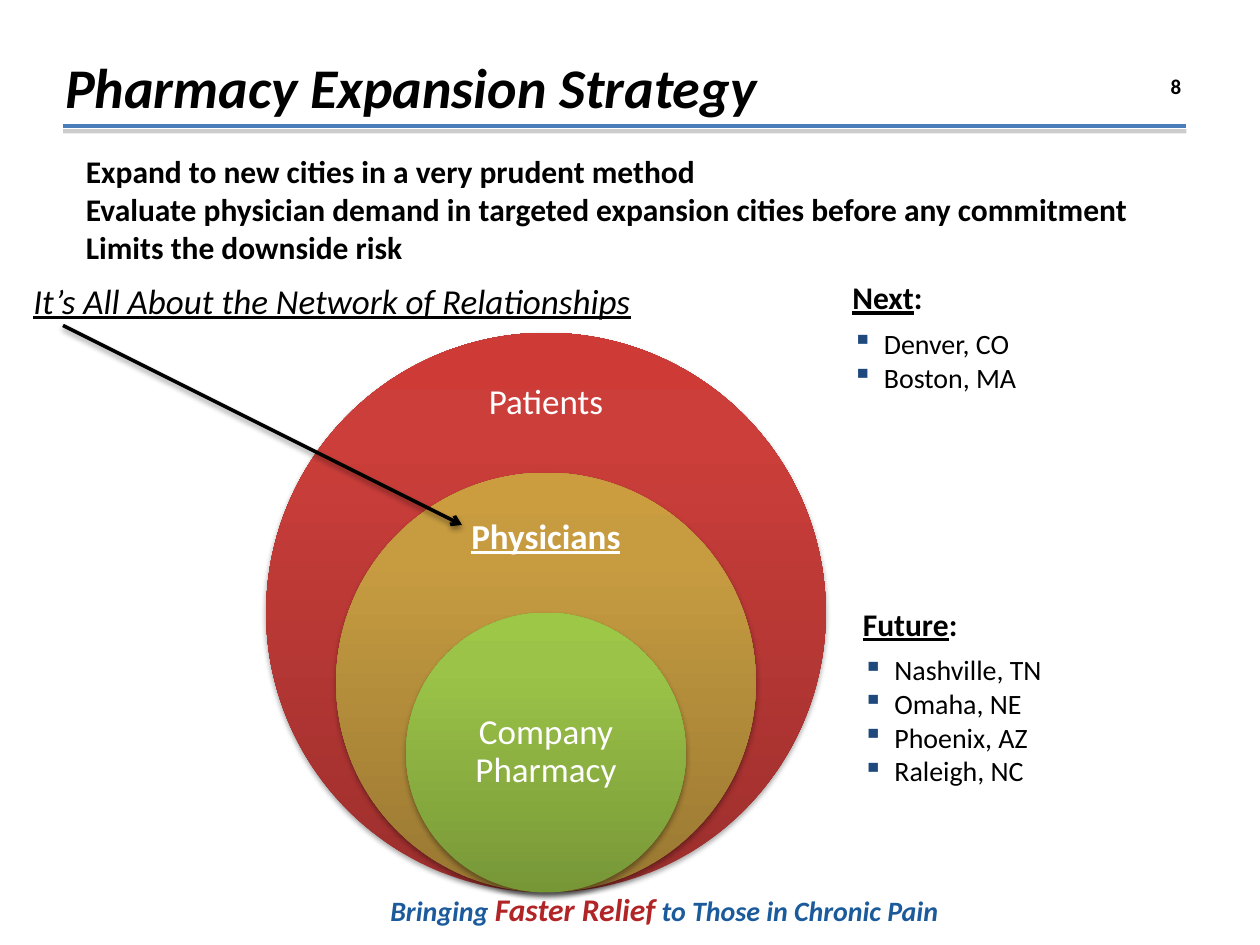
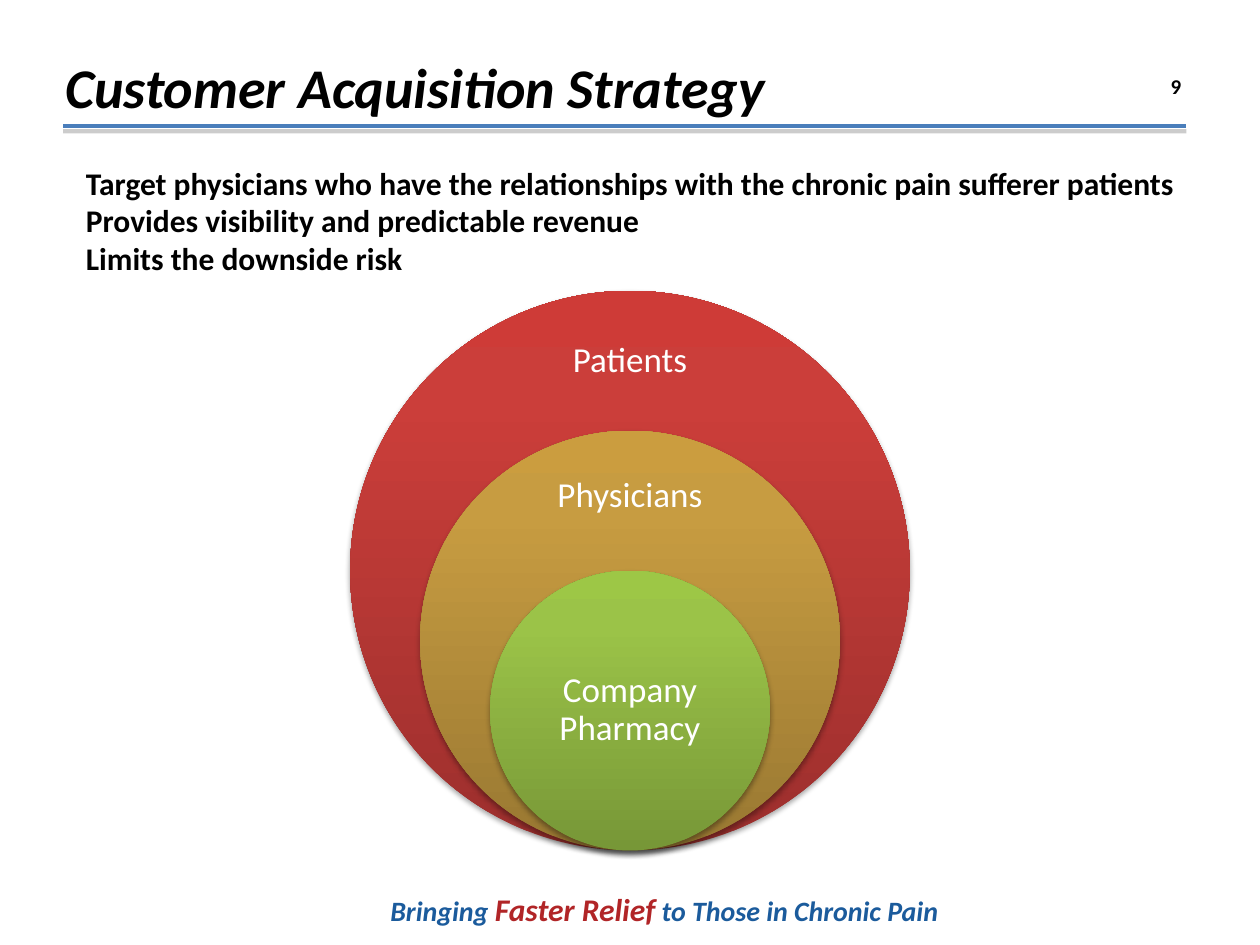
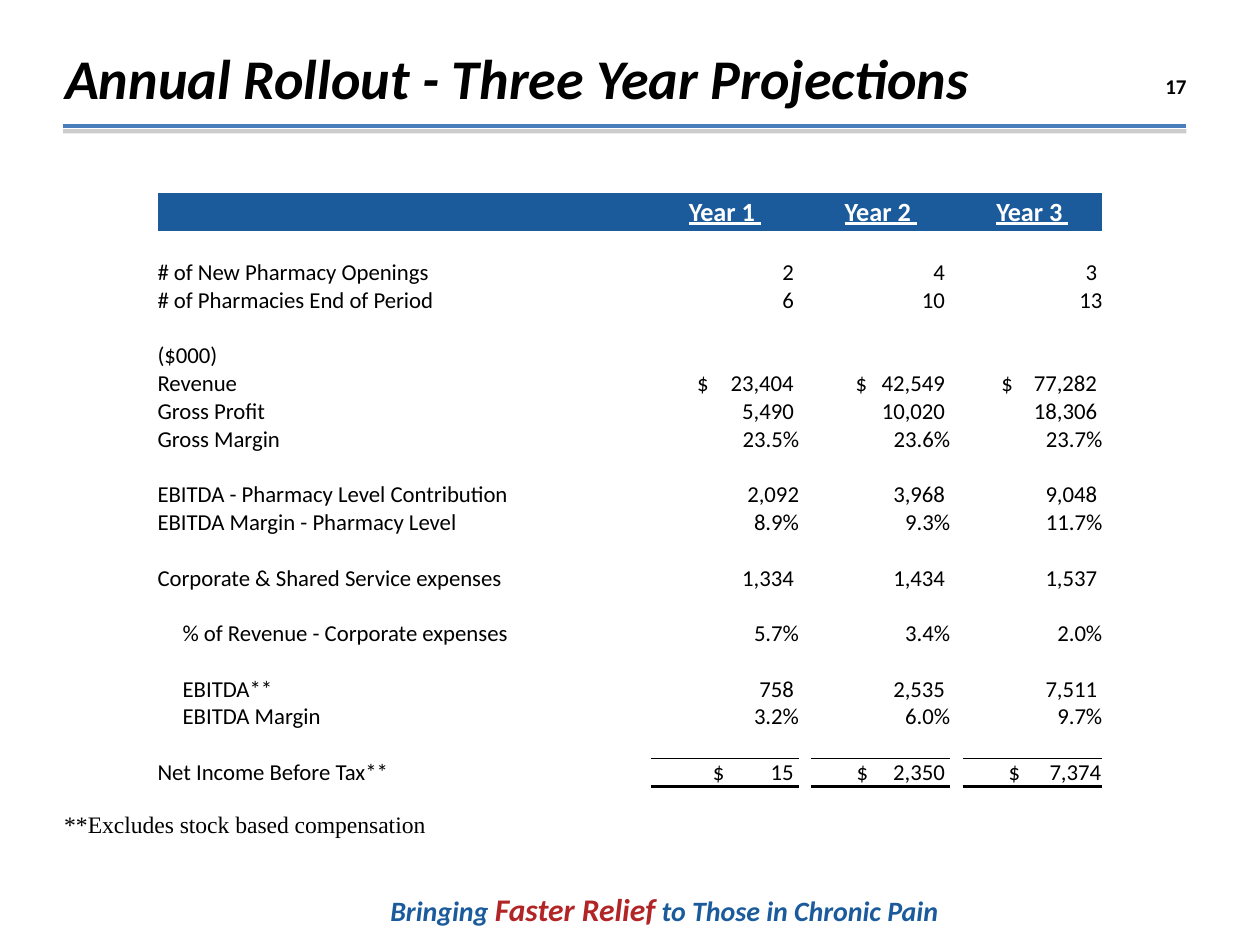
from dataclasses import dataclass

from lxml.etree import SubElement
from pptx import Presentation
from pptx.dml.color import RGBColor
from pptx.enum.shapes import MSO_CONNECTOR, MSO_SHAPE
from pptx.enum.text import MSO_ANCHOR, MSO_AUTO_SIZE, PP_ALIGN
from pptx.oxml.ns import qn
from pptx.util import Inches, Pt


@dataclass(frozen=True)
class Theme:
    font: str = "Calibri"
    note_font: str = "Times New Roman"
    ink: str = "000000"
    white: str = "FFFFFF"
    navy: str = "1B5B9C"
    crimson: str = "B12527"
    rule: str = "4A7EBB"
    rule_shadow: str = "808080"
    bullet: str = "1F497D"
    red: tuple = ("9C2F2D", "CB3E3A", "CE3B37")
    gold: tuple = ("997832", "C79C41", "CB9D3F")
    green: tuple = ("779737", "9BC348", "9DC746")
    title: float = 32
    label: float = 20
    body: float = 18
    item: float = 16
    head: float = 15
    note: float = 13.5
    cell: float = 13
    number: float = 12


PLAIN_STYLE = "{2D5ABB26-0587-4C30-8999-92F81FD0307C}"
COLUMNS = (2.4, 3.8, 39.7, 1.1, 14.1, 1.2, 13.2, 1.2, 13.3)
YEAR_COLUMNS = (4, 6, 8)
HEAD_ROW, BODY_ROW = 3.6, 2.65
YEARS = ("Year 1 ", "Year 2 ", "Year 3 ")
NET_INCOME = "Net Income Before Tax**"
DOLLAR_STOPS = {"Revenue": (4.4, 4.2, 3.7), NET_INCOME: (5.9, 4.3, 4.4)}
BLANK = ("", 0, "", "", "")
PROJECTIONS = (
    BLANK,
    ("# of New Pharmacy Openings", 0, "2 ", "4 ", "3 "),
    ("# of Pharmacies End of Period", 0, "6 ", "10 ", "13"),
    BLANK,
    ("($000)", 0, "", "", ""),
    ("Revenue", 0, "23,404 ", "42,549 ", "77,282 "),
    ("Gross Profit", 0, "5,490 ", "10,020 ", "18,306 "),
    ("Gross Margin", 0, "23.5%", "23.6%", "23.7%"),
    BLANK,
    ("EBITDA - Pharmacy Level Contribution", 0, "2,092", "3,968 ", "9,048 "),
    ("EBITDA Margin - Pharmacy Level", 0, "8.9%", "9.3%", "11.7%"),
    BLANK,
    ("Corporate & Shared Service expenses", 0, "1,334 ", "1,434 ", "1,537 "),
    BLANK,
    ("% of Revenue - Corporate expenses", 1, "5.7%", "3.4%", "2.0%"),
    BLANK,
    ("EBITDA**", 1, "758 ", "2,535 ", "7,511 "),
    ("EBITDA Margin", 1, "3.2%", "6.0%", "9.7%"),
    BLANK,
    (NET_INCOME, 0, "15 ", "2,350 ", "7,374"),
)


def grid(value):
    """Turn grid units, 120 columns by 90 rows on the slide, into a length."""
    return Inches(value / 12)


class Deck:
    """Hold the theme and the current slide, and draw each kind of element."""

    def __init__(self, prs, theme):
        self.prs, self.theme, self.s = prs, theme, None

    def slide(self, title, number, top=4.4, height=7.6, anchor=MSO_ANCHOR.TOP):
        """Add a slide with its title, rule, number and tagline."""
        t = self.theme
        self.s = self.prs.slides.add_slide(self.prs.slide_layouts[5])
        rule = self.line((6, 12), (113, 12), t.rule, 2.5)
        self.shadow(rule, t.rule_shadow, 40, 0, 3)
        self.text((104, 4, 16, 6), [[(number, {"bold": True})]], t.number,
                  align=PP_ALIGN.CENTER, anchor=MSO_ANCHOR.BOTTOM)
        slogan = {"bold": True, "italic": True, "color": t.navy}
        self.text((36, 84.2, 55, 4.8), [[
            ("Bringing ", slogan),
            ("Faster Relief", {**slogan, "color": t.crimson, "size": t.body}),
            (" to Those in Chronic Pain", slogan)]], t.item, wrap=False)
        sp = self.s.shapes.title
        sp.left, sp.top, sp.width, sp.height = map(grid, (5, top, 109, height))
        tf = sp.text_frame
        tf.text = title
        tf.auto_size, tf.vertical_anchor = MSO_AUTO_SIZE.NONE, anchor
        tf.paragraphs[0].alignment = PP_ALIGN.LEFT
        self.style(tf.paragraphs[0].runs[0], t.title, bold=True, italic=True)

    def style(self, r, size, color=None, font=None, **flags):
        """Format one run."""
        r.font.name, r.font.size = font or self.theme.font, Pt(size)
        r.font.color.rgb = RGBColor.from_string(color or self.theme.ink)
        for name, value in flags.items():
            setattr(r.font, name, value)

    def text(self, box, paragraphs, size, align=PP_ALIGN.LEFT,
             anchor=MSO_ANCHOR.TOP, wrap=True, inset=None, spacing=None):
        """Add a text box whose paragraphs are lists of text and style pairs."""
        tf = self.s.shapes.add_textbox(*map(grid, box)).text_frame
        tf.word_wrap, tf.vertical_anchor = wrap, anchor
        if inset:
            tf.margin_left = tf.margin_right = grid(inset)
            tf.margin_top = tf.margin_bottom = grid(inset)
        for i, runs in enumerate(paragraphs):
            p = tf.add_paragraph() if i else tf.paragraphs[0]
            p.alignment = align
            if spacing:
                p.line_spacing = spacing
            for words, look in runs:
                r = p.add_run()
                r.text = words
                self.style(r, **{"size": size, **look})
        return tf

    def points(self, left, top, width, lines):
        """Add the bold opening statements."""
        self.text((left, top, width, 12), [[(line, {"bold": True})] for line in lines],
                  self.theme.body)

    def cities(self, left, top, heading, names):
        """Add an underlined heading over a bulleted list of cities."""
        t = self.theme
        head = [(heading, {"bold": True, "underline": True, "size": t.body}),
                (":", {"bold": True, "size": t.body})]
        tf = self.text((left, top, 38, 5 + 3.2 * len(names)),
                       [head] + [[(name, {})] for name in names], t.item)
        for p in tf.paragraphs[1:]:
            pPr = p._p.get_or_add_pPr()
            pPr.set("marL", str(grid(3)))
            pPr.set("indent", str(-grid(3)))
            SubElement(SubElement(pPr, qn("a:buClr")), qn("a:srgbClr"), val=t.bullet)
            SubElement(pPr, qn("a:buChar"), char="▪")
        tf.paragraphs[1].space_before = Pt(6)

    def line(self, start, end, color, width):
        """Add a straight line between two grid points."""
        c = self.s.shapes.add_connector(MSO_CONNECTOR.STRAIGHT, *map(grid, start + end))
        c.line.color.rgb, c.line.width = RGBColor.from_string(color), Pt(width)
        return c

    def arrow(self, start, end):
        """Add a shadowed arrow."""
        c = self.line(start, end, self.theme.ink, 2)
        SubElement(c.line._get_or_add_ln(), qn("a:tailEnd"), type="arrow")
        self.shadow(c, self.theme.ink, 38, 3.1, 1.6)

    def shadow(self, sp, color, opacity, blur, distance):
        """Give a shape or line a shadow that falls straight down."""
        effects = SubElement(sp._element.spPr, qn("a:effectLst"))
        outer = SubElement(effects, qn("a:outerShdw"), blurRad=str(Pt(blur)),
                           dist=str(Pt(distance)), dir="5400000", rotWithShape="0")
        clr = SubElement(outer, qn("a:srgbClr"), val=color)
        SubElement(clr, qn("a:alpha"), val=str(opacity * 1000))

    def circle(self, center, bottom, size, colors):
        """Add a shadowed circle that darkens towards its foot."""
        box = (center - size / 2, bottom - size, size, size)
        sp = self.s.shapes.add_shape(MSO_SHAPE.OVAL, *map(grid, box))
        sp.fill.gradient()
        sp.fill.gradient_angle = 90
        stops = sp._element.spPr.find(".//" + qn("a:gsLst"))
        for stop in list(stops):
            stops.remove(stop)
        for position, color in zip((0, 80, 100), colors):
            stop = SubElement(stops, qn("a:gs"), pos=str(position * 1000))
            SubElement(stop, qn("a:srgbClr"), val=color)
        sp.line.fill.background()
        self.shadow(sp, self.theme.ink, 35, 3.1, 1.8)

    def network(self, center, bottom, **physicians):
        """Add three nested circles that share their lowest point."""
        t = self.theme
        rings = (("Patients", 1, 0.05, 0.15, t.red, {}),
                 ("Physicians", 0.75, 0.06, 0.19, t.gold, physicians),
                 ("Company Pharmacy", 0.5, 0.25, 0.5, t.green, {}))
        for label, share, drop, depth, colors, look in rings:
            size = 53.3 * share
            self.circle(center, bottom, size, colors)
            box = (center - 9.4, bottom - size * (1 - drop), 18.8, size * depth)
            self.text(box, [[(label, {"color": t.white, **look})]], t.label,
                      align=PP_ALIGN.CENTER, anchor=MSO_ANCHOR.MIDDLE, inset=1.9, spacing=0.9)

    def table(self, left, top, widths, heights):
        """Add an unstyled table with bare cells."""
        frame = self.s.shapes.add_table(len(heights), len(widths), *map(
            grid, (left, top, sum(widths), sum(heights))))
        tbl = frame.table
        tbl.first_row = tbl.horz_banding = False
        tbl._tbl.tblPr.find(qn("a:tableStyleId")).text = PLAIN_STYLE
        for column, width in zip(tbl.columns, widths):
            column.width = grid(width)
        for row, height in zip(tbl.rows, heights):
            row.height = grid(height)
        for cell in tbl.iter_cells():
            cell.margin_left = cell.margin_right = cell.margin_top = cell.margin_bottom = 0
            cell.vertical_anchor = MSO_ANCHOR.BOTTOM
            cell.fill.background()
            SubElement(cell.text_frame.paragraphs[0]._p, qn("a:endParaRPr"),
                       sz=str(self.theme.cell * 100))
        return tbl

    def cell(self, cell, words, size, align=PP_ALIGN.LEFT, stops=(), **look):
        """Write text into a cell, on tab stops where they are given."""
        p = cell.text_frame.paragraphs[0]
        p.text, p.alignment = words, align
        if stops:
            tabs = SubElement(p._p.get_or_add_pPr(), qn("a:tabLst"))
            for position, side in zip(stops, ("l", "r")):
                SubElement(tabs, qn("a:tab"), pos=str(grid(position)), algn=side)
        for r in p.runs:
            self.style(r, size, **look)

    def border(self, cell, **sides):
        """Draw cell borders, given as side and width, top before bottom."""
        tcPr = cell._tc.get_or_add_tcPr()
        for i, (side, width) in enumerate(sides.items()):
            ln = SubElement(tcPr, qn(f"a:ln{side}"), w=str(Pt(width)))
            SubElement(SubElement(ln, qn("a:solidFill")), qn("a:srgbClr"), val=self.theme.ink)
            tcPr.insert(i, ln)

    def projections(self, left, top):
        """Add the table of yearly projections."""
        t = self.theme
        tbl = self.table(left, top, COLUMNS, [HEAD_ROW] + [BODY_ROW] * len(PROJECTIONS))
        for col in range(len(COLUMNS)):
            fill = tbl.cell(0, col).fill
            fill.solid()
            fill.fore_color.rgb = RGBColor.from_string(t.navy)
        for col, year in zip(YEAR_COLUMNS, YEARS):
            tbl.cell(0, col).vertical_anchor = MSO_ANCHOR.MIDDLE
            self.cell(tbl.cell(0, col), year, t.head, PP_ALIGN.CENTER,
                      color=t.white, bold=True, underline=True)
        for row, (label, level, *values) in enumerate(PROJECTIONS, 1):
            if not label:
                continue
            tbl.cell(row, level).merge(tbl.cell(row, 2))
            self.cell(tbl.cell(row, level), label, t.cell)
            for i, (col, value) in enumerate(zip(YEAR_COLUMNS, values)):
                cell = tbl.cell(row, col)
                if label in DOLLAR_STOPS:
                    edge = COLUMNS[col] - (0.5 if value.endswith(" ") else 0.1)
                    self.cell(cell, f"\t$\t{value.strip()}", t.cell,
                              stops=(DOLLAR_STOPS[label][i], edge))
                elif value:
                    self.cell(cell, value, t.cell, PP_ALIGN.RIGHT)
                if label == NET_INCOME:
                    self.border(tbl.cell(row - 1, col), B=0.5)
                    self.border(cell, T=0.5, B=2)

    def footnote(self, left, top, words):
        """Add a one-cell table with a note."""
        t = self.theme
        cell = self.table(left, top, (65,), (2.7,)).cell(0, 0)
        cell.margin_left = grid(0.12)
        self.cell(cell, words, t.note, font=t.note_font)


def main():
    """Build the deck and save it."""
    prs = Presentation()
    prs.slide_width, prs.slide_height = grid(120), grid(90)
    theme = Theme()
    deck = Deck(prs, theme)

    deck.slide("Pharmacy Expansion Strategy", "8")
    deck.network(52, 85, bold=True, underline=True)
    deck.points(7, 13.9, 108, (
        "Expand to new cities in a very prudent method",
        "Evaluate physician demand in targeted expansion cities before any commitment",
        "Limits the downside risk"))
    deck.arrow((6, 31), (44, 50))
    deck.text((2, 26, 85, 5.3), [[("It’s All About the Network of Relationships",
                                   {"italic": True, "underline": True})]], theme.label)
    deck.cities(80, 25.9, "Next", ("Denver, CO", "Boston, MA"))
    deck.cities(81, 57, "Future", ("Nashville, TN", "Omaha, NE", "Phoenix, AZ", "Raleigh, NC"))

    deck.slide("Customer Acquisition Strategy", "9")
    deck.network(60, 81)
    deck.points(7, 15, 111, (
        "Target physicians who have the relationships with the chronic pain sufferer patients",
        "Provides visibility and predictable revenue",
        "Limits the downside risk"))

    deck.slide("Annual Rollout - Three Year Projections", "17", 2.6, 9.4, MSO_ANCHOR.MIDDLE)
    deck.footnote(6, 77.2, "**Excludes stock based compensation")
    deck.projections(15, 18.4)

    prs.save("out.pptx")


if __name__ == "__main__":
    main()
